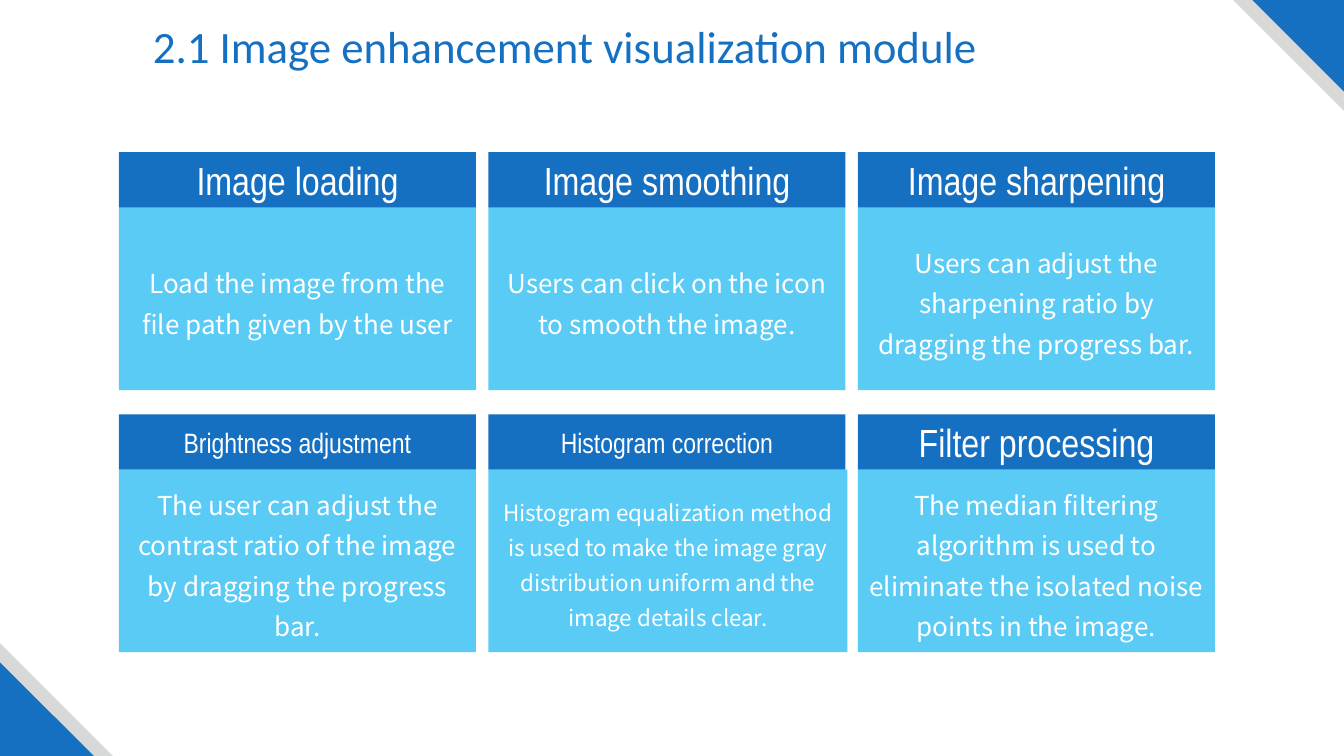
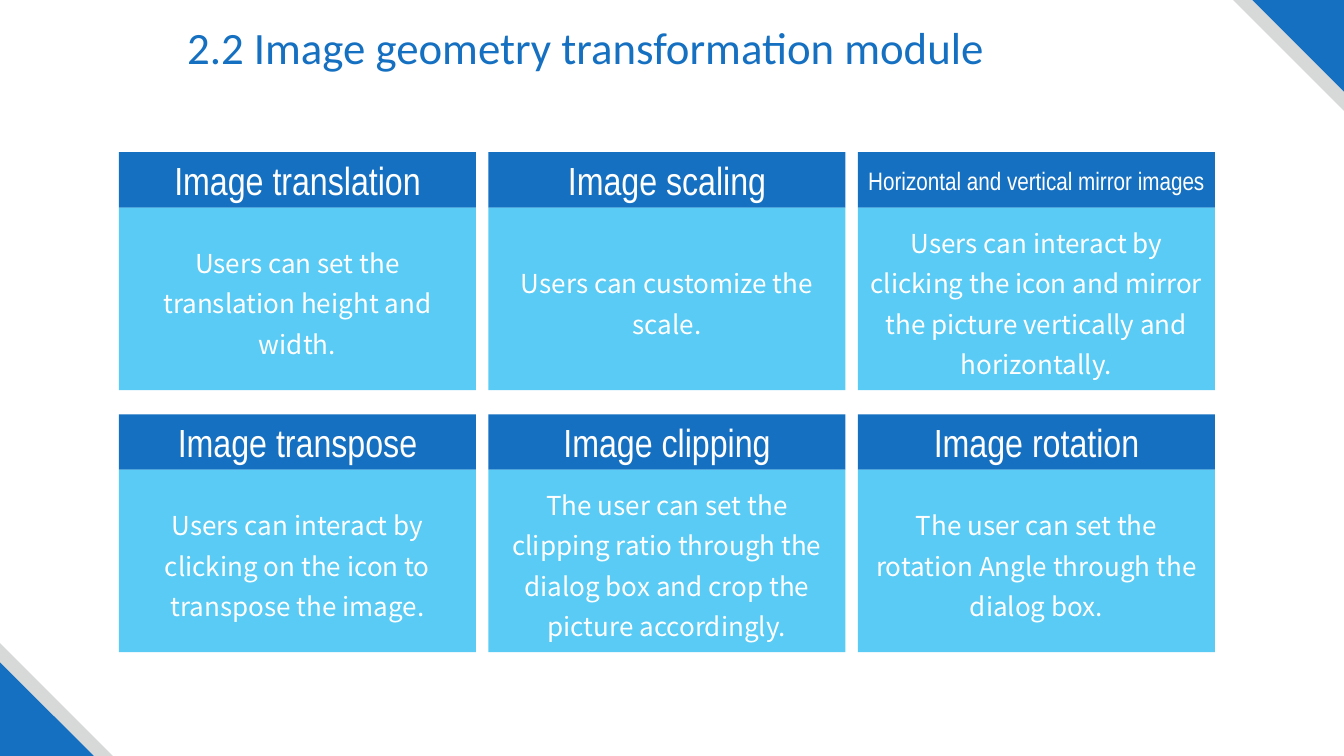
from lxml.etree import SubElement
from pptx import Presentation
from pptx.dml.color import RGBColor
from pptx.enum.shapes import MSO_SHAPE
from pptx.enum.text import MSO_ANCHOR, PP_ALIGN
from pptx.oxml.ns import qn
from pptx.util import Inches, Pt

COLORS = {"blue": "1570C1", "sky": "00B0F0", "gray": "D7D8D8", "white": "FFFFFF"}
FONTS = {"title": "Calibri", "heading": "Arial Narrow", "body": "Noto Sans CJK SC"}
SLIDE_WIDTH, SLIDE_HEIGHT = 13.33, 7.5
GRID_LEFT, GRID_TOP, GRID_WIDTH, GRID_HEIGHT = 1.18, 1.51, 10.87, 4.96
COLUMNS, ROWS = 3, 2
CARD_WIDTH, CARD_HEIGHT, HEADING_HEIGHT = 3.54, 2.36, 0.55
HEADING_SIZE, BODY_SIZE = 28, 18.6

SLIDES = [
    {
        "title": "2.1 Image enhancement visualization module",
        "title_box": (0.02, 0.13, 11.17, 0.64),
        "cards": [
            {"heading": "Image loading",
             "body": "Load the image from the file path given by the user"},
            {"heading": "Image smoothing",
             "body": "Users can click on the icon to smooth the image."},
            {"heading": "Image sharpening",
             "body": "Users can adjust the sharpening ratio by dragging the progress bar."},
            {"heading": "Brightness adjustment", "heading_size": 20,
             "body": "The user can adjust the contrast ratio of the image by dragging the progress bar."},
            {"heading": "Histogram correction", "heading_size": 20, "body_size": 16, "body_width": 3.56,
             "body": "Histogram equalization method is used to make the image gray distribution uniform "
                     "and the image details clear."},
            {"heading": "Filter processing",
             "body": "The median filtering algorithm is used to eliminate the isolated noise points in the image."},
        ],
    },
    {
        "title": "2.2 Image geometry transformation module",
        "title_box": (0.71, 0.14, 10.2, 0.64),
        "cards": [
            {"heading": "Image translation",
             "body": "Users can set the translation height and width."},
            {"heading": "Image scaling",
             "body": "Users can customize the scale."},
            {"heading": "Horizontal and vertical mirror images", "heading_size": 18,
             "body": "Users can interact by clicking the icon and mirror the picture vertically and horizontally."},
            {"heading": "Image transpose",
             "body": "Users can interact by clicking on the icon to transpose the image."},
            {"heading": "Image clipping",
             "body": "The user can set the clipping ratio through the dialog box and crop the picture accordingly."},
            {"heading": "Image rotation",
             "body": "The user can set the rotation Angle through the dialog box."},
        ],
    },
]


def color(name):
    return RGBColor.from_string(COLORS[name])


def add_filled_shape(page, kind, box, fill, opacity=100):
    shape = page.shapes.add_shape(kind, *map(Inches, box))
    shape.shadow.inherit = False
    shape.line.fill.background()
    shape.fill.solid()
    shape.fill.fore_color.rgb = color(fill)
    if opacity < 100:
        fill_color = shape.fill._xPr.find(qn("a:solidFill"))[0]
        SubElement(fill_color, qn("a:alpha"), val=str(opacity * 1000))
    return shape


def write_text(shape, text, font, size, text_color, line_spacing=1.0):
    frame = shape.text_frame
    frame.word_wrap = True
    frame.vertical_anchor = MSO_ANCHOR.MIDDLE
    frame.text = text
    para = frame.paragraphs[0]
    para.alignment = PP_ALIGN.CENTER
    para.line_spacing = line_spacing
    para.font.name = FONTS[font]
    para.font.size = Pt(size)
    para.font.color.rgb = color(text_color)


def add_title(page, text, box):
    title = page.shapes.title
    title.left, title.top, title.width, title.height = map(Inches, box)
    write_text(title, text, "title", 32, "blue")


def add_corners(page):
    for top_size, bottom_size, fill in ((1.1, 1.12, "gray"), (0.91, 0.93, "blue")):
        top_box = (SLIDE_WIDTH - top_size, 0, top_size, top_size)
        bottom_box = (0, SLIDE_HEIGHT - bottom_size, bottom_size, bottom_size)
        top_corner = add_filled_shape(page, MSO_SHAPE.RIGHT_TRIANGLE, top_box, fill)
        top_corner.rotation = 180
        add_filled_shape(page, MSO_SHAPE.RIGHT_TRIANGLE, bottom_box, fill)


def add_card(page, card, box):
    left, top, width, height = box
    heading = add_filled_shape(page, MSO_SHAPE.RECTANGLE, (left, top, width, HEADING_HEIGHT), "blue")
    write_text(heading, card["heading"], "heading", card.get("heading_size", HEADING_SIZE), "white")
    body_box = (left, top + HEADING_HEIGHT, card.get("body_width", width), height - HEADING_HEIGHT)
    body = add_filled_shape(page, MSO_SHAPE.RECTANGLE, body_box, "sky", opacity=65)
    write_text(body, card["body"], "body", card.get("body_size", BODY_SIZE), "white", 1.3)


def add_card_grid(page, cards, box):
    left, top, width, height = box
    column_step = (width - CARD_WIDTH) / (COLUMNS - 1)
    row_step = (height - CARD_HEIGHT) / (ROWS - 1)
    for index, card in enumerate(cards):
        row, column = divmod(index, COLUMNS)
        card_box = (left + column * column_step, top + row * row_step, CARD_WIDTH, CARD_HEIGHT)
        add_card(page, card, card_box)


def add_module_slide(deck, content):
    page = deck.slides.add_slide(deck.slide_layouts[5])
    add_corners(page)
    add_title(page, content["title"], content["title_box"])
    add_card_grid(page, content["cards"], (GRID_LEFT, GRID_TOP, GRID_WIDTH, GRID_HEIGHT))


def main():
    deck = Presentation()
    deck.slide_width = Inches(SLIDE_WIDTH)
    deck.slide_height = Inches(SLIDE_HEIGHT)
    for content in SLIDES:
        add_module_slide(deck, content)
    deck.save("out.pptx")


if __name__ == "__main__":
    main()
